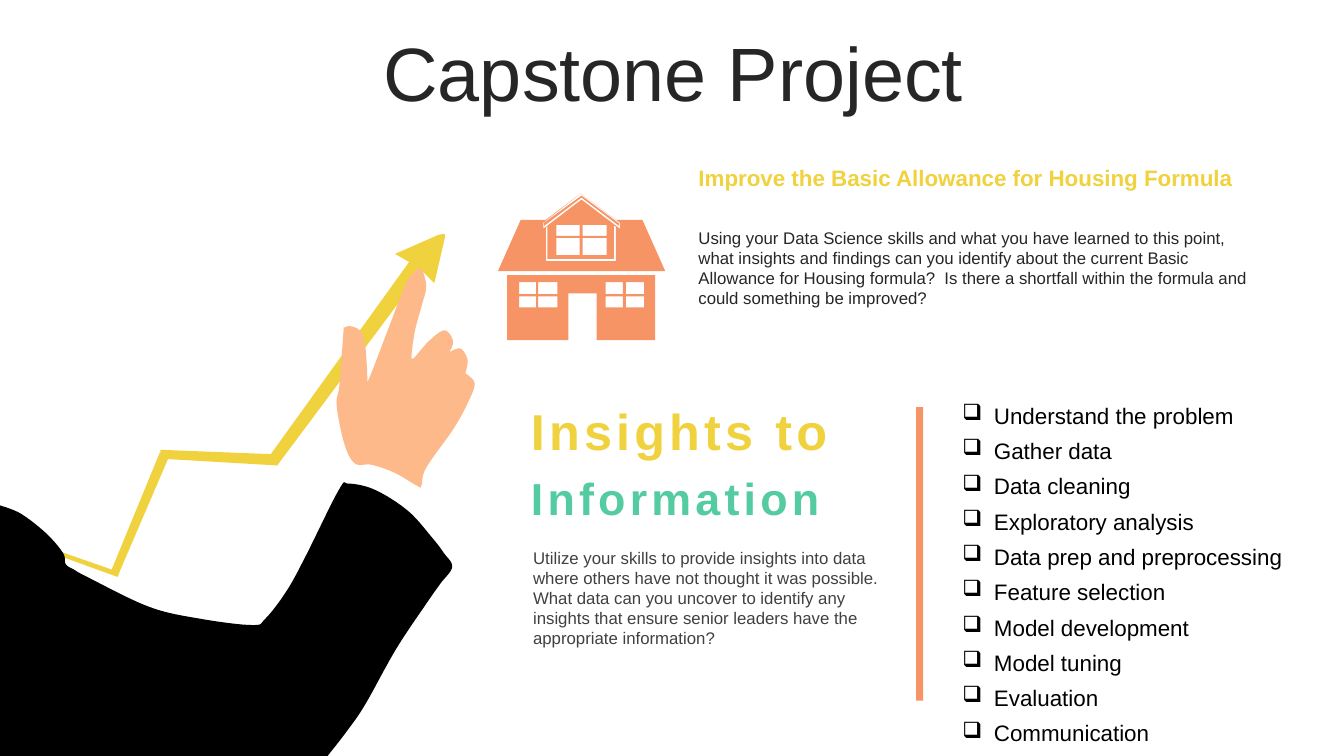
from dataclasses import dataclass
from itertools import product

from lxml import etree
from pptx import Presentation
from pptx.dml.color import RGBColor
from pptx.enum.shapes import MSO_SHAPE as Preset
from pptx.enum.text import MSO_ANCHOR as Anchor, PP_ALIGN as Align
from pptx.oxml.ns import qn
from pptx.shapes.autoshape import Shape
from pptx.slide import Slide
from pptx.util import Pt

YELLOW, ORANGE, GREEN = "F0D23F", "F79465", "54CBA0"
SKIN, BLACK, DARK, GRAY = "FDB98A", "000000", "262626", "404040"
FONT = "Arial"
Point = tuple[float, float]
Contour = list[Point]


@dataclass
class Box:
    x: float
    y: float
    w: float
    h: float


@dataclass
class Label:
    box: Box
    text: str
    size: float
    color: str
    bold: bool = False
    align: Align = Align.LEFT
    anchor: Anchor = Anchor.TOP
    line_spacing: float = 1.0
    space_before: float = 0
    tracking: float = 0
    inset: float = 7.2
    bullet: str = ""


@dataclass
class ChartSegment:
    box: Box
    rotation: float


@dataclass
class Window:
    columns: list[tuple[float, float]]
    rows: list[tuple[float, float]]

    def panes(self) -> list[Contour]:
        return [[(x1, y1), (x2, y1), (x2, y2), (x1, y2)]
                for (x1, x2), (y1, y2) in product(self.columns, self.rows)]


SEGMENTS = [
    ChartSegment(Box(152.6, 284.4, 7.9, 84.2), 272.8),
    ChartSegment(Box(95.8, 321.1, 7.2, 92.9), 202.8),
    ChartSegment(Box(55.4, 371.5, 3.6, 58.3), 289.6),
    ChartSegment(Box(25.2, 391, 5.8, 12.2), 206.2),
]
ARROW = [(282.2, 181.4), (313.2, 167.8), (317.5, 167), (318, 169), (310.3, 202.3),
         (301.7, 193.7), (198, 332.6), (192.2, 326.2), (292.3, 187.2)]

# In smooth outlines a doubled point is a sharp corner.
ARM = [(261, 503), (248, 522), (234, 540), (234, 540), (0, 540), (0, 540), (0, 361),
       (0, 361), (15, 367), (33, 381), (45, 395), (47, 403), (53, 407), (63, 412.5),
       (106.5, 433.5), (143, 442), (180, 446.5), (189.5, 442), (204.5, 422.5),
       (218, 398), (242, 350), (249, 345.5), (268, 350), (291.5, 365), (309, 384.5),
       (317, 395), (323, 405), (314.5, 417), (305, 430.5), (283, 463.5)]
HAND = [(335.5, 285), (324.5, 305.5), (304.5, 334), (301, 347), (298, 347),
        (281.5, 337.5), (265.5, 332), (253.5, 331), (246, 317), (240.5, 289.5),
        (242.5, 275), (245.5, 235.5), (246, 234), (250.5, 233), (257, 236),
        (260.5, 244), (262, 260), (262.5, 273), (262.5, 273), (266.5, 263.5),
        (278.5, 232), (290, 202.5), (296, 194.5), (301, 192), (304.5, 204.5),
        (301.5, 217.5), (296.5, 236), (294, 254), (295, 256), (296.5, 255),
        (306.5, 243.5), (317, 236), (322.5, 240.5), (323.5, 246), (321, 251.5),
        (321, 251.5), (329, 249), (334, 257), (332.5, 266.5), (332.5, 266.5),
        (339, 273.5)]

WALLS = [(362.2, 196.6), (468, 196.6), (468, 243), (426.2, 243), (426.2, 209.5),
         (406.1, 209.5), (406.1, 243), (362.2, 243)]
ROOF = [(414.9, 138.2), (440, 157), (458.9, 157), (475.2, 193.7), (355.7, 193.7),
        (372, 157), (390, 157)]
GABLE_BAND = [(414.9, 138.2), (388.1, 159.1), (388.1, 163.4), (415.4, 142.6),
              (442.8, 163.4), (442.8, 159.1)]
GABLE_LINE = [(415.4, 139.7), (442.1, 159.5), (442.1, 161.3), (415.4, 141.1),
              (388.8, 161.3), (388.8, 159.1)]
DORMER_FRAME = [(438.5, 161.3), (438.5, 185), (391, 185), (391, 161.3), (390, 162.5),
                (390, 186.5), (440, 186.5), (440, 162)]
WALL_ROWS = [(201.6, 210.2), (211.7, 219.6)]
WINDOWS = [
    Window([(370.8, 383), (384.5, 398.2)], WALL_ROWS),
    Window([(432.7, 445), (447.1, 460.1)], WALL_ROWS),
    Window([(397.4, 414), (416.2, 433.4)], [(160.6, 168.5), (169.9, 182.2)]),
]

STEPS = ["Understand the problem", "Gather data", "Data cleaning",
         "Exploratory analysis", "Data prep and preprocessing", "Feature selection",
         "Model development", "Model tuning", "Evaluation", "Communication"]
STEP_TOP, STEP_PITCH = 287.3, 25.2
LABELS = [
    Label(Box(25.2, 26.6, 911.5, 56.9), "Capstone Project", 54, DARK,
          align=Align.CENTER, anchor=Anchor.MIDDLE, line_spacing=0.9, space_before=10),
    Label(Box(491.8, 113.8, 418.3, 26.6),
          "Improve the Basic Allowance for Housing Formula", 16, YELLOW, bold=True),
    Label(Box(491.8, 159.1, 418.3, 65.5),
          "Using your Data Science skills and what you have learned to this point, what "
          "insights and findings can you identify about the current Basic Allowance for "
          "Housing formula?  Is there a shortfall within the formula and could something "
          "be improved?", 12, DARK),
    Label(Box(372.2, 282.2, 262.1, 50.4), "Insights to", 36, YELLOW, bold=True,
          align=Align.JUSTIFY, anchor=Anchor.MIDDLE, space_before=7.2, tracking=3),
    Label(Box(372.2, 332.6, 262.1, 46.1), "Information", 32, GREEN, bold=True,
          align=Align.JUSTIFY, tracking=3),
    Label(Box(372.2, 387.4, 274.3, 79.9),
          "Utilize your skills to provide insights into data where others have not "
          "thought it was possible.  What data can you uncover to identify any insights "
          "that ensure senior leaders have the appropriate information?", 12, GRAY,
          inset=8.6),
    *(Label(Box(680.4, STEP_TOP + i * STEP_PITCH, 258.5, 23), step, 16, BLACK,
            line_spacing=0.8, bullet="❑") for i, step in enumerate(STEPS)),
]


def rgb(color: str) -> RGBColor:
    return RGBColor.from_string(color)


def paint(sp: Shape, color: str) -> None:
    sp.shadow.inherit = False
    sp.fill.solid()
    sp.fill.fore_color.rgb = rgb(color)
    sp.line.fill.background()


def add_preset(s: Slide, kind: Preset, box: Box, color: str) -> Shape:
    sp = s.shapes.add_shape(kind, Pt(box.x), Pt(box.y), Pt(box.w), Pt(box.h))
    paint(sp, color)
    return sp


def add_outline(s: Slide, contours: list[Contour], color: str) -> None:
    """Draw closed contours as one shape; nested contours become holes."""
    first, *others = [[(Pt(x), Pt(y)) for x, y in c] for c in contours]
    builder = s.shapes.build_freeform(*first[0])
    builder.add_line_segments(first[1:], close=True)
    for contour in others:
        builder.move_to(*contour[0])
        builder.add_line_segments(contour[1:], close=True)
    paint(builder.convert_to_shape(), color)


def smooth(points: Contour, steps: int = 8) -> Contour:
    """Run a closed Catmull-Rom curve through the points."""
    curve, n = [], len(points)
    for i, b in enumerate(points):
        a, c, d = points[i - 1], points[(i + 1) % n], points[(i + 2) % n]
        if b == c:
            continue
        for t in (k / steps for k in range(steps)):
            x, y = (q + t * (r - p + t * (2 * p - 5 * q + 4 * r - u
                                          + t * (3 * q - p - 3 * r + u))) / 2
                    for p, q, r, u in zip(a, b, c, d))
            curve.append((x, y))
    return curve


def add_label(s: Slide, label: Label) -> None:
    box = label.box
    tf = s.shapes.add_textbox(Pt(box.x), Pt(box.y), Pt(box.w), Pt(box.h)).text_frame
    tf.word_wrap = True
    tf.vertical_anchor = label.anchor
    tf.margin_left = tf.margin_right = Pt(label.inset)
    p = tf.paragraphs[0]
    r = p.add_run()
    r.text = label.text
    p.alignment = label.align
    p.line_spacing = label.line_spacing
    p.space_before = Pt(label.space_before)
    p.font.name, p.font.size, p.font.bold = FONT, Pt(label.size), label.bold
    p.font.color.rgb = rgb(label.color)
    if label.tracking:
        r.font.bold = label.bold
        r.font._element.set("spc", str(round(label.tracking * 100)))
    if label.bullet:
        props = p._p.get_or_add_pPr()
        props.set("marL", str(Pt(22.5)))
        props.set("indent", str(Pt(-22.5)))
        bullet = etree.Element(qn("a:buChar"), char=label.bullet)
        props.find(qn("a:defRPr")).addprevious(bullet)


def main() -> None:
    prs = Presentation()
    prs.slide_width, prs.slide_height = Pt(960), Pt(540)
    s = prs.slides.add_slide(prs.slide_layouts[6])
    add_outline(s, [ARROW], YELLOW)
    for segment in SEGMENTS:
        sp = add_preset(s, Preset.TRAPEZOID, segment.box, YELLOW)
        sp.adjustments[0] = 0.1
        sp.rotation = segment.rotation
    add_outline(s, [smooth(ARM)], BLACK)
    add_outline(s, [smooth(HAND)], SKIN)
    panes = [pane for window in WINDOWS for pane in window.panes()]
    add_outline(s, [ROOF, WALLS, GABLE_BAND, GABLE_LINE, DORMER_FRAME, *panes], ORANGE)
    add_preset(s, Preset.RECTANGLE, Box(654.5, 290.9, 5, 209.5), ORANGE)
    for label in LABELS:
        add_label(s, label)
    prs.save("out.pptx")


if __name__ == "__main__":
    main()
